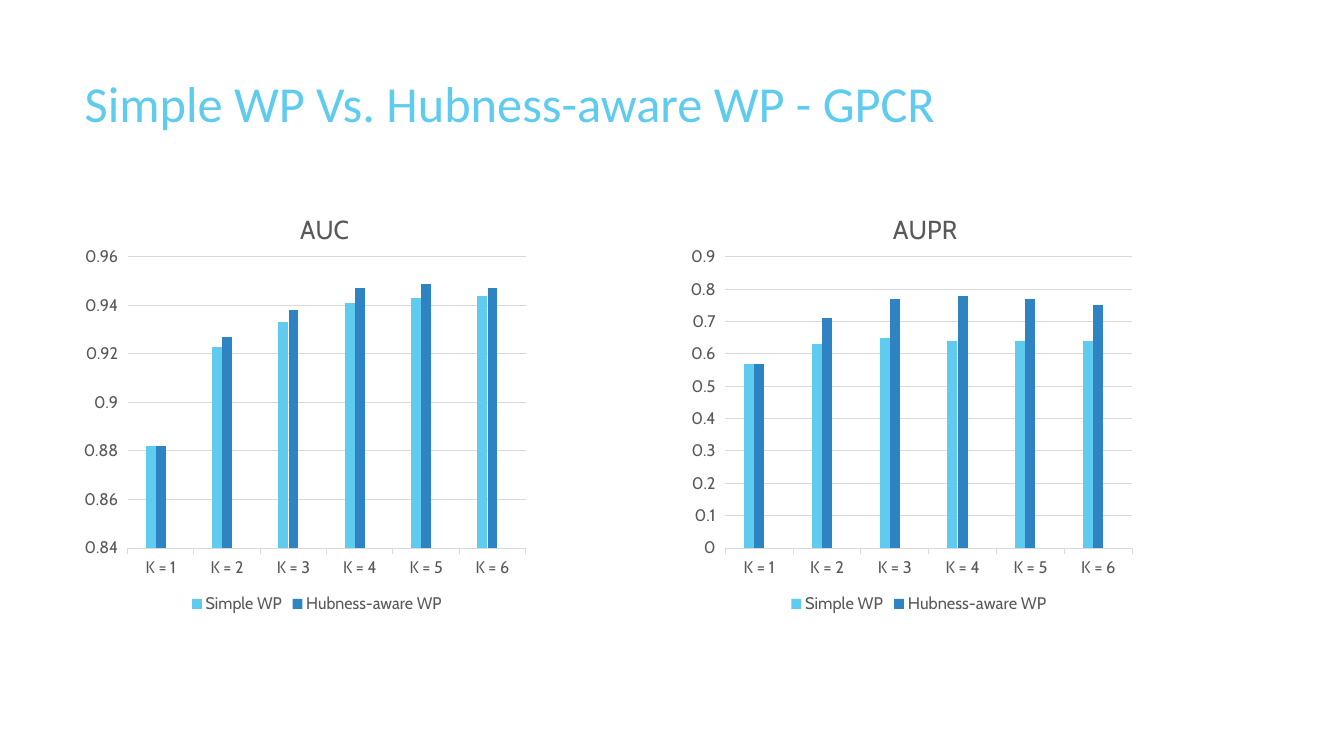
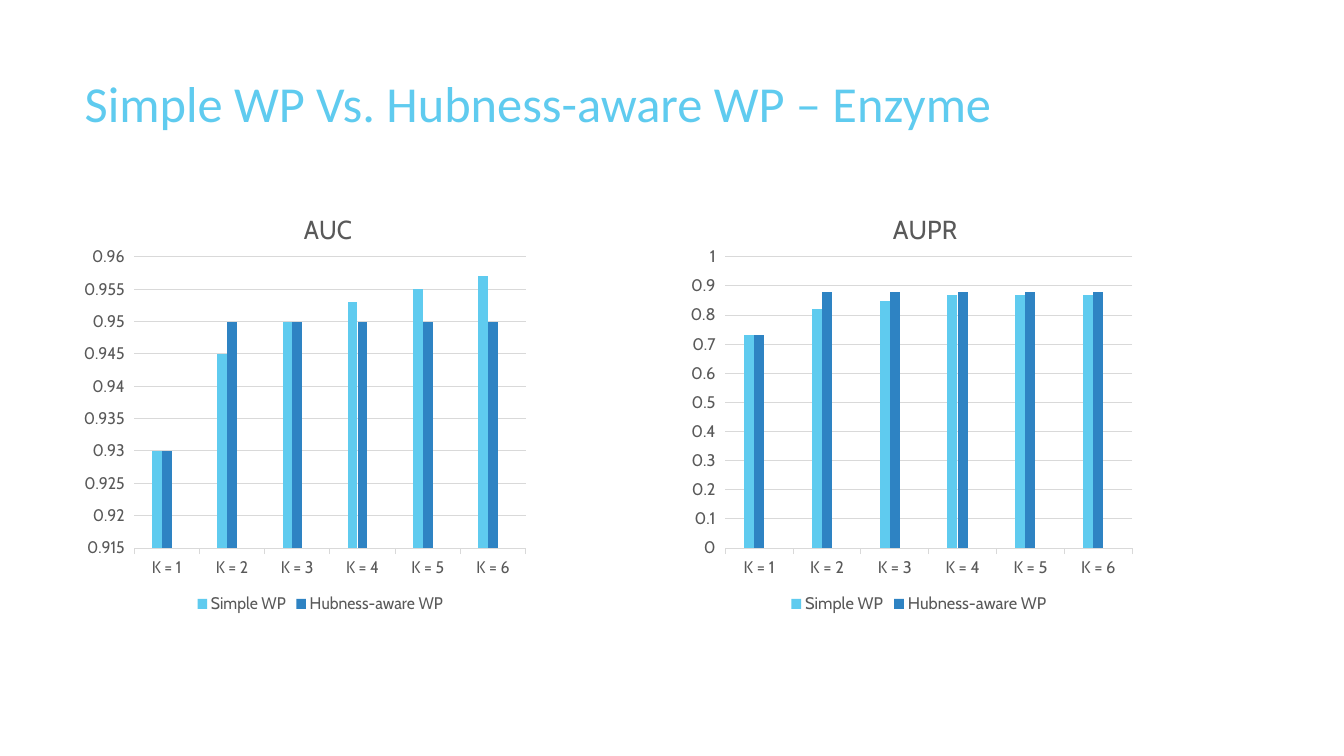
from pptx import Presentation
from pptx.chart.data import CategoryChartData
from pptx.dml.color import RGBColor
from pptx.enum.chart import XL_CHART_TYPE, XL_LEGEND_POSITION, XL_TICK_MARK
from pptx.enum.text import MSO_ANCHOR, PP_ALIGN
from pptx.oxml import parse_xml
from pptx.oxml.ns import nsdecls, qn
from pptx.util import Pt

CLUSTERED = XL_CHART_TYPE.COLUMN_CLUSTERED
BOTTOM = XL_LEGEND_POSITION.BOTTOM
OUTSIDE = XL_TICK_MARK.OUTSIDE
TOP = MSO_ANCHOR.TOP
LEFT = PP_ALIGN.LEFT

SKY, BLUE, GREEN = "5FCBEF", "2E83C3", "42D0A2"
GRAY, RULE = "595959", "D9D9D9"
TITLE_FONT, CHART_FONT = "Calibri", "Cabin"

TITLE_BOX = (53.3, 48.2, 676.8, 103.7)
CHART_TOP, CHART_W, CHART_H = 131.8, 319.7, 309.6
PLOT_AREA = {"x": 0.058, "y": 0.167, "w": 0.929, "h": 0.672}
CHART_SPOTS = {
    "AUC": {"left": 59.8, "title": {"x": 0.45, "y": 0.05}},
    "AUPR": {"left": 493.2, "title": {"x": 0.43, "y": 0.05}},
}

CATEGORIES = [f"K = {k}" for k in range(1, 7)]
SERIES = [("Simple WP", SKY), ("Hubness-aware WP", BLUE), ("Series 3", GREEN)]
EMPTY = [None] * len(CATEGORIES)

SLIDES = [
    ("Simple WP Vs. Hubness-aware WP - GPCR", [
        {"name": "AUC", "scale": (0.84, 0.96, 0.02), "values": [
            [0.882, 0.923, 0.933, 0.941, 0.943, 0.944],
            [0.882, 0.927, 0.938, 0.947, 0.949, 0.947]]},
        {"name": "AUPR", "scale": (0, 0.9, 0.1), "values": [
            [0.57, 0.63, 0.65, 0.64, 0.64, 0.64],
            [0.57, 0.71, 0.77, 0.78, 0.77, 0.75]]},
    ]),
    ("Simple WP Vs. Hubness-aware WP – Enzyme", [
        {"name": "AUC", "scale": (0.915, 0.96, 0.005), "values": [
            [0.93, 0.945, 0.95, 0.953, 0.955, 0.957],
            [0.93, 0.95, 0.95, 0.95, 0.95, 0.95]]},
        {"name": "AUPR", "scale": (0, 1, 0.1), "values": [
            [0.73, 0.82, 0.85, 0.87, 0.87, 0.87],
            [0.73, 0.88, 0.88, 0.88, 0.88, 0.88]]},
    ]),
]


def rgb(color):
    return RGBColor.from_string(color)


def style_font(font, name, size, color):
    font.name = name
    font.size = Pt(size)
    font.bold = False
    font.color.rgb = rgb(color)


def style_line(line):
    line.color.rgb = rgb(RULE)
    line.width = Pt(0.75)


def set_layout(element, index, box, inner=False):
    for old in element.findall(qn("c:layout")):
        element.remove(old)
    target = '<c:layoutTarget val="inner"/>' if inner else ""
    modes = "".join(f'<c:{key}Mode val="edge"/>' for key in "xy")
    sizes = "".join(f'<c:{key} val="{value}"/>' for key, value in box.items())
    element.insert(index, parse_xml(
        f'<c:layout {nsdecls("c")}><c:manualLayout>{target}{modes}{sizes}'
        '</c:manualLayout></c:layout>'))


def add_title(s, text):
    title = s.shapes.title
    title.left, title.top, title.width, title.height = map(Pt, TITLE_BOX)
    tf = title.text_frame
    tf.word_wrap = True
    tf.vertical_anchor = TOP
    p = tf.paragraphs[0]
    p.alignment = LEFT
    r = p.add_run()
    r.text = text
    style_font(r.font, TITLE_FONT, 36, SKY)


def style_axes(chart, scale):
    category, value = chart.category_axis, chart.value_axis
    for axis in (category, value):
        axis.major_tick_mark = OUTSIDE
        style_font(axis.tick_labels.font, CHART_FONT, 12, GRAY)
    style_line(category.format.line)
    value.format.line.fill.background()
    style_line(value.major_gridlines.format.line)
    value.minimum_scale, value.maximum_scale, value.major_unit = scale


def add_legend(chart):
    chart.has_legend = True
    legend = chart.legend
    legend.position = BOTTOM
    legend.include_in_layout = False
    style_font(legend.font, CHART_FONT, 12, GRAY)
    legend._element.insert(1, parse_xml(
        f'<c:legendEntry {nsdecls("c")}><c:idx val="2"/>'
        '<c:delete val="1"/></c:legendEntry>'))


def add_metric_chart(s, metric):
    spot = CHART_SPOTS[metric["name"]]
    data = CategoryChartData()
    data.categories = CATEGORIES
    for (name, _), values in zip(SERIES, metric["values"] + [EMPTY]):
        data.add_series(name, values)
    box = map(Pt, (spot["left"], CHART_TOP, CHART_W, CHART_H))
    chart = s.shapes.add_chart(CLUSTERED, *box, data).chart
    style_font(chart.font, CHART_FONT, 10, "000000")

    chart.has_title = True
    r = chart.chart_title.text_frame.paragraphs[0].add_run()
    r.text = metric["name"]
    style_font(r.font, CHART_FONT, 18.6, GRAY)
    set_layout(chart.chart_title._element, 1, spot["title"])

    plot = chart.plots[0]
    plot.vary_by_categories = False
    plot.gap_width = 372
    plot.overlap = -3
    for series, (_, color) in zip(plot.series, SERIES):
        series.format.fill.solid()
        series.format.fill.fore_color.rgb = rgb(color)
    set_layout(plot._element.getparent(), 0, PLOT_AREA, inner=True)
    style_axes(chart, metric["scale"])
    add_legend(chart)


def main():
    prs = Presentation()
    prs.slide_width, prs.slide_height = Pt(960), Pt(540)
    for title, metrics in SLIDES:
        s = prs.slides.add_slide(prs.slide_layouts[5])
        add_title(s, title)
        for metric in metrics:
            add_metric_chart(s, metric)
    prs.save("out.pptx")


if __name__ == "__main__":
    main()
